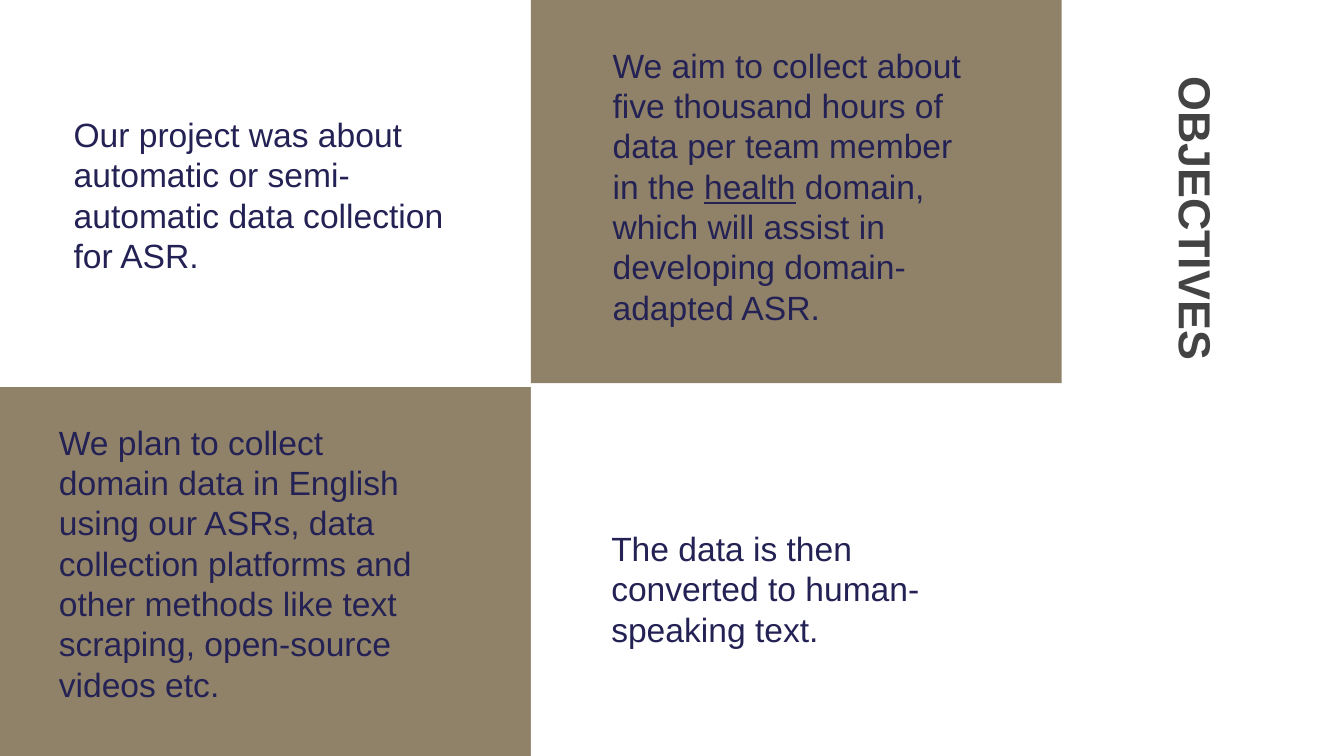
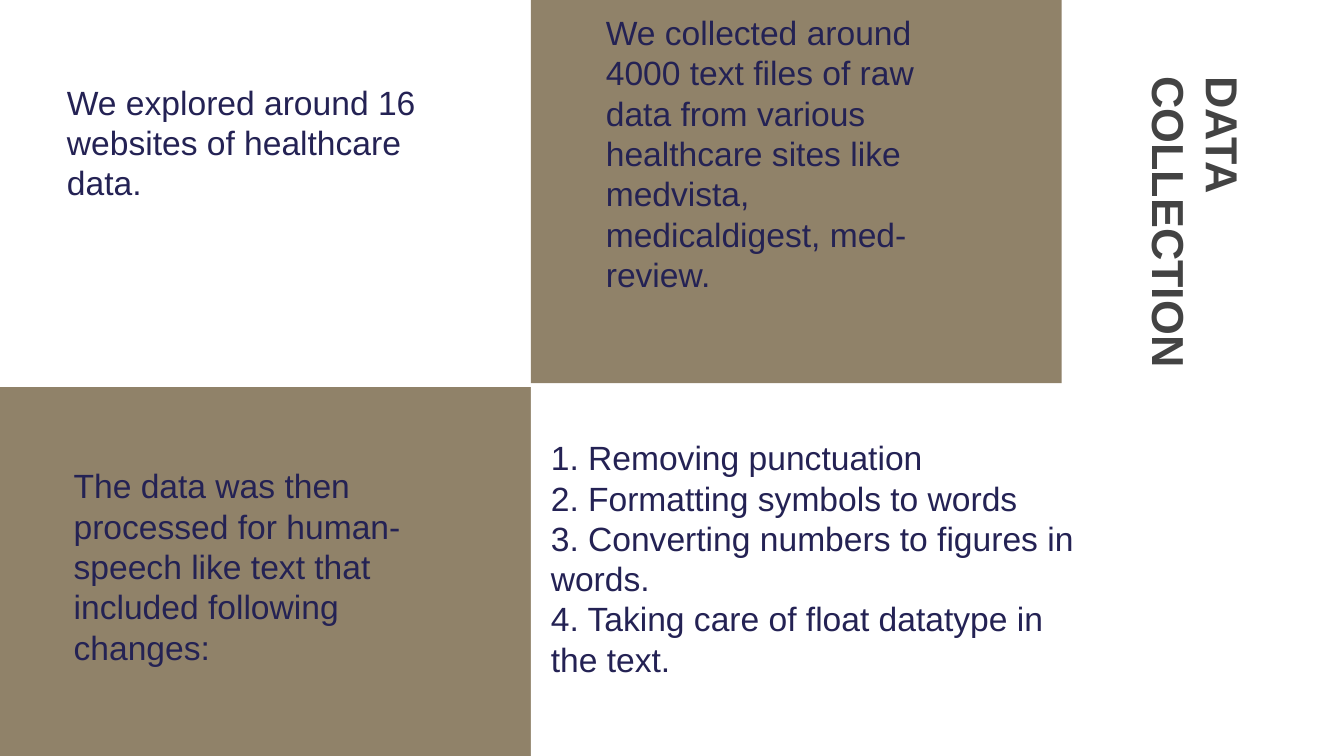
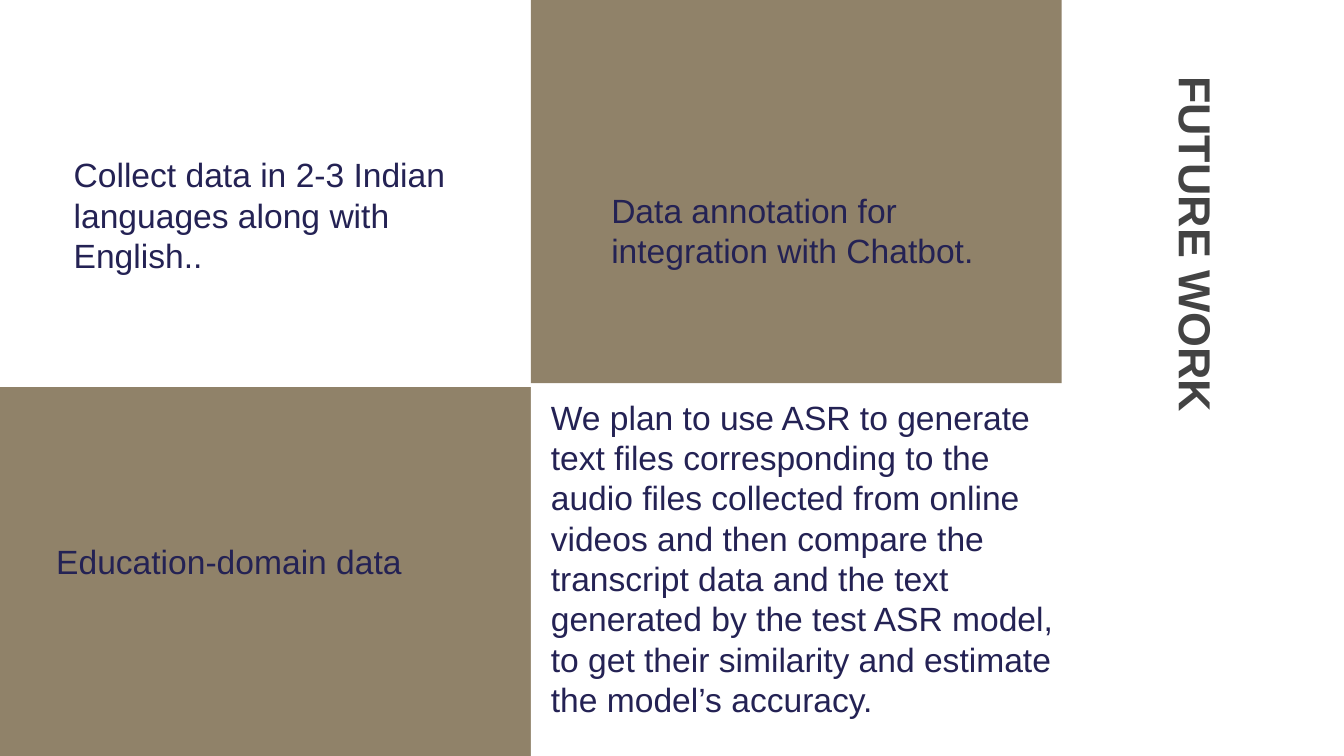
from dataclasses import dataclass
from typing import Any

from pptx import Presentation
from pptx.dml.color import RGBColor
from pptx.enum.shapes import MSO_SHAPE
from pptx.enum.text import MSO_ANCHOR, PP_ALIGN
from pptx.slide import Slide
from pptx.util import Inches, Pt

KHAKI = RGBColor(0x90, 0x82, 0x69)
WHITE = RGBColor(0xFF, 0xFF, 0xFF)
NAVY = RGBColor(0x24, 0x22, 0x54)
CHARCOAL = RGBColor(0x43, 0x43, 0x43)

SLIDE_WIDTH = Inches(10)
SLIDE_HEIGHT = Inches(5.625)
BLANK_LAYOUT = 6
UNDERLINE_MARK = "_"

TITLE_FORMAT = {"name": "Arial", "size": Pt(24), "bold": True}
BODY_FORMAT = {"name": "Arial", "size": Pt(18), "bold": False}


@dataclass(frozen=True)
class Area:
    """Percentages of the slide's width and height."""

    left: float
    top: float
    width: float
    height: float

    def lengths(self) -> tuple[int, int, int, int]:
        return (
            round(SLIDE_WIDTH * self.left / 100),
            round(SLIDE_HEIGHT * self.top / 100),
            round(SLIDE_WIDTH * self.width / 100),
            round(SLIDE_HEIGHT * self.height / 100),
        )


@dataclass(frozen=True)
class Panel:
    area: Area
    color: RGBColor


@dataclass(frozen=True)
class Size:
    width: float
    height: float


@dataclass(frozen=True)
class Note:
    left: float
    bottom: float
    size: Size
    text: str

    def area(self) -> Area:
        top = self.bottom - self.size.height
        return Area(self.left, top, self.size.width, self.size.height)


@dataclass(frozen=True)
class Page:
    title: str
    notes: tuple[Note, ...]


COLUMN = 39.5
ROW = 51.2
LOWER_ROW = 48.9
TITLE_AREA = Area(73.1, 32, 31.9, 9.4)
PANELS = (
    Panel(Area(COLUMN, -0.5, COLUMN, ROW), KHAKI),
    Panel(Area(0, ROW, COLUMN, LOWER_ROW), KHAKI),
    Panel(Area(COLUMN, ROW, COLUMN, LOWER_ROW), WHITE),
)

UPPER_LEFT = Size(31.4, 12.6)
RIGHT = Size(29.3, 14.8)
LOWER_LEFT = Size(30.4, 13.5)
WIDE = Size(41.1, 66.7)

PAGES = (
    Page("OBJECTIVES", (
        Note(4.5, 38.2, UPPER_LEFT,
             "Our project was about automatic or semi-automatic data collection for ASR."),
        Note(44.6, 45, RIGHT,
             "We aim to collect about five thousand hours of data per team member in the "
             "_health_ domain, which will assist in developing domain-adapted ASR."),
        Note(3.4, 94.9, LOWER_LEFT,
             "We plan to collect domain data in English using our ASRs, data collection "
             "platforms and other methods like text scraping, open-source videos etc."),
        Note(44.5, 87.6, RIGHT,
             "The data is then converted to human-speaking text."),
    )),
    Page("DATA COLLECTION", (
        Note(4, 28.6, UPPER_LEFT,
             "We explored around 16 websites of healthcare data."),
        Note(44.1, 40.7, RIGHT,
             "We collected around 4000 text files of raw data from various healthcare "
             "sites like medvista, medicaldigest, med-review."),
        Note(4.5, 90, LOWER_LEFT,
             "The data was then processed for human- speech like text that included "
             "following changes:"),
        Note(40, 91.6, WIDE,
             "1. Removing punctuation\n"
             "2. Formatting symbols to words\n"
             "3. Converting numbers to figures in words.\n"
             "4. Taking care of float datatype in the text."),
    )),
    Page("FUTURE WORK", (
        Note(4.5, 38.2, UPPER_LEFT,
             "Collect data in 2-3 Indian languages along with English.."),
        Note(44.5, 37.5, RIGHT,
             "Data annotation for integration with Chatbot."),
        Note(3.2, 78.6, LOWER_LEFT, "Education-domain data"),
        Note(40, 96.9, WIDE,
             "We plan to use ASR to generate text files corresponding to the audio files "
             "collected from online videos and then compare the transcript data and the "
             "text generated by the test ASR model, to get their similarity and estimate "
             "the model’s accuracy."),
    )),
)


def draw_panel(slide: Slide, panel: Panel) -> None:
    shape = slide.shapes.add_shape(MSO_SHAPE.RECTANGLE, *panel.area.lengths())
    shape.shadow.inherit = False
    shape.fill.solid()
    shape.fill.fore_color.rgb = panel.color
    shape.line.fill.background()


def draw_text(
    slide: Slide,
    area: Area,
    text: str,
    font_format: dict[str, Any],
    color: RGBColor,
    anchor: MSO_ANCHOR,
    rotation: float = 0,
) -> None:
    box = slide.shapes.add_textbox(*area.lengths())
    box.rotation = rotation
    frame = box.text_frame
    frame.word_wrap = True
    frame.vertical_anchor = anchor
    for side in ("left", "top", "right", "bottom"):
        setattr(frame, f"margin_{side}", Inches(0.1))
    for index, line in enumerate(text.split("\n")):
        para = frame.add_paragraph() if index else frame.paragraphs[0]
        para.alignment = PP_ALIGN.LEFT
        for position, words in enumerate(line.split(UNDERLINE_MARK)):
            span = para.add_run()
            span.text = words
            for name, value in font_format.items():
                setattr(span.font, name, value)
            span.font.color.rgb = color
            span.font.underline = position % 2 == 1


def draw_page(slide: Slide, page: Page) -> None:
    draw_text(slide, TITLE_AREA, page.title, TITLE_FORMAT, CHARCOAL,
              MSO_ANCHOR.MIDDLE, rotation=90)
    for panel in PANELS:
        draw_panel(slide, panel)
    for note in page.notes:
        draw_text(slide, note.area(), note.text, BODY_FORMAT, NAVY, MSO_ANCHOR.BOTTOM)


def main() -> None:
    deck = Presentation()
    deck.slide_width = SLIDE_WIDTH
    deck.slide_height = SLIDE_HEIGHT
    for page in PAGES:
        draw_page(deck.slides.add_slide(deck.slide_layouts[BLANK_LAYOUT]), page)
    deck.save("out.pptx")


if __name__ == "__main__":
    main()
